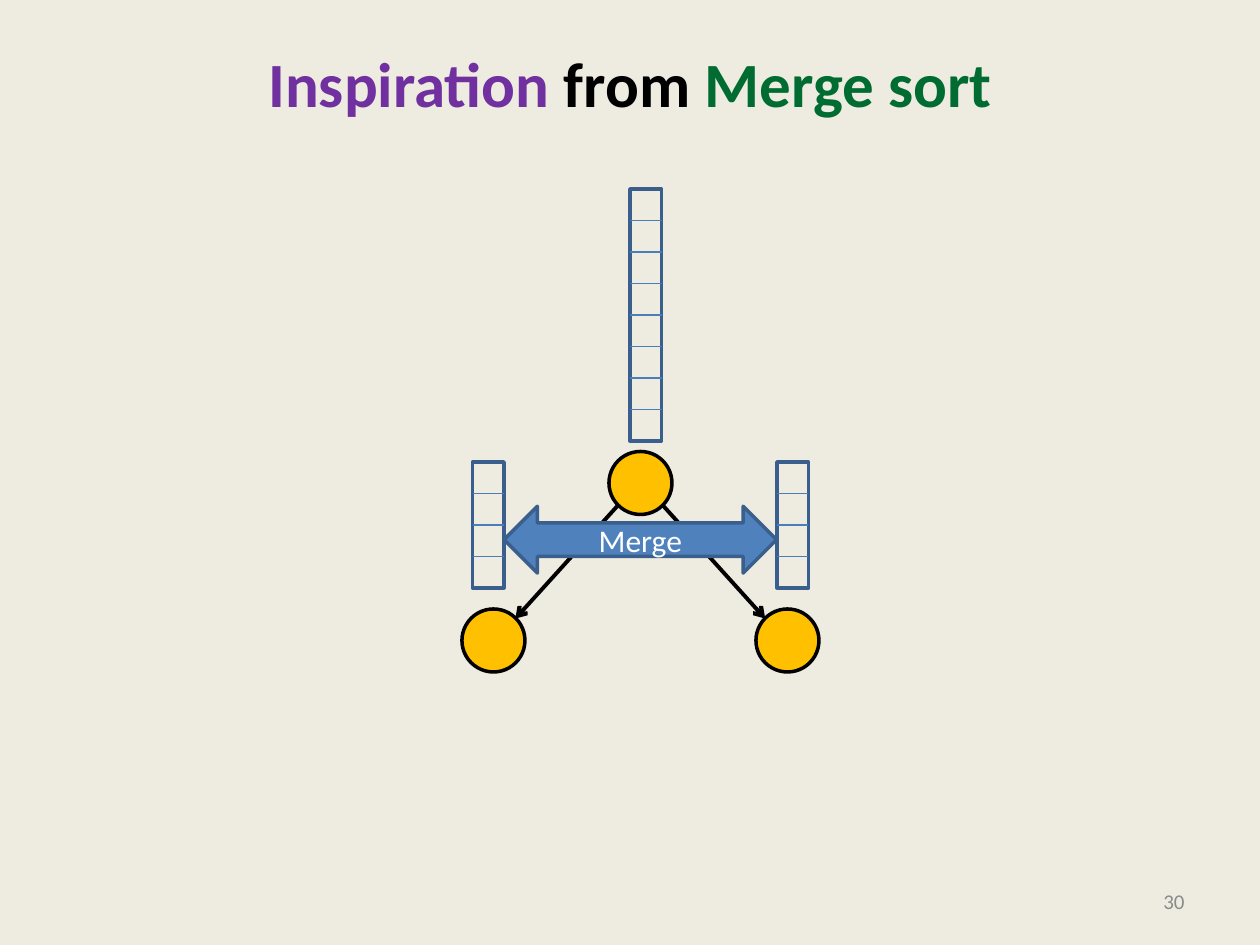
from typing import NamedTuple

from lxml import etree
from pptx import Presentation
from pptx.dml.color import RGBColor
from pptx.enum.shapes import MSO_CONNECTOR, MSO_SHAPE
from pptx.enum.text import MSO_ANCHOR, PP_ALIGN
from pptx.oxml.ns import qn
from pptx.util import Pt

LINE = MSO_CONNECTOR.STRAIGHT
OVAL, RECT = MSO_SHAPE.OVAL, MSO_SHAPE.RECTANGLE
DOUBLE = MSO_SHAPE.LEFT_RIGHT_ARROW
TOP, MIDDLE = MSO_ANCHOR.TOP, MSO_ANCHOR.MIDDLE
CENTER, RIGHT = PP_ALIGN.CENTER, PP_ALIGN.RIGHT

FONT = "Calibri"
BLACK, GOLD, BLUE, EDGE, RULE = "000000", "FFC000", "4F81BD", "3A5F8C", "4A7EBB"
CELL = 18
NODE = 36


class Box(NamedTuple):
    """A place on the slide, in points."""
    left: float
    top: float
    width: float
    height: float


class Run(NamedTuple):
    """A piece of text in one style."""
    text: str
    size: float
    color: str
    bold: bool = False


class Stack(NamedTuple):
    """A column of equal array cells."""
    left: float
    top: float
    cells: int


class Edge(NamedTuple):
    """A tree edge from parent to child."""
    x1: float
    y1: float
    x2: float
    y2: float


NODES = [(348, 258), (264, 348), (432, 348)]
EDGES = [Edge(353.2, 288.7, 294.5, 353.5), Edge(378.7, 288.7, 437.3, 353.5)]
STACKS = [Stack(444, 264, 4), Stack(270, 264, 4), Stack(360, 108, 8)]


def paint(fmt, color: str) -> None:
    """Set a fill or font colour from a hex string."""
    if hasattr(fmt, "solid"):
        fmt.solid()
        fmt = fmt.fore_color
    else:
        fmt = fmt.color
    fmt.rgb = RGBColor.from_string(color)


def write(frame, runs: list[Run], align, anchor=MIDDLE) -> None:
    """Fill a text frame run by run."""
    frame.word_wrap = True
    frame.vertical_anchor = anchor
    para = frame.paragraphs[0]
    para.alignment = align
    for item in runs:
        run = para.add_run()
        run.text = item.text
        run.font.name = FONT
        run.font.size = Pt(item.size)
        run.font.bold = item.bold
        paint(run.font, item.color)


def add_text(slide, box: Box, runs: list[Run], align, anchor=MIDDLE) -> None:
    """Add a text box."""
    area = slide.shapes.add_textbox(*map(Pt, box))
    write(area.text_frame, runs, align, anchor)


def add_form(slide, kind, box: Box, edge: str, fill: str = ""):
    """Add an outlined shape, hollow when no fill is given."""
    form = slide.shapes.add_shape(kind, *map(Pt, box))
    form.shadow.inherit = False
    if fill:
        paint(form.fill, fill)
    else:
        form.fill.background()
    paint(form.line.fill, edge)
    form.line.width = Pt(2)
    return form


def add_line(slide, edge: Edge, color: str, width: float, arrow: bool = False) -> None:
    """Add a straight line, with an open arrowhead if asked."""
    line = slide.shapes.add_connector(LINE, *map(Pt, edge))
    paint(line.line.fill, color)
    line.line.width = Pt(width)
    props = line._element.spPr
    if arrow:
        etree.SubElement(props.find(qn("a:ln")), qn("a:tailEnd"), type="arrow")
    etree.SubElement(props, qn("a:effectLst"))


def add_stack(slide, stack: Stack) -> None:
    """Draw an array as a frame with a rule between cells."""
    left, top, cells = stack
    add_form(slide, RECT, Box(left, top, CELL, cells * CELL), EDGE)
    for i in range(1, cells):
        y = top + i * CELL
        add_line(slide, Edge(left, y, left + CELL, y), RULE, 0.75)


def main() -> None:
    """Build and save the slide."""
    deck = Presentation()
    deck.slide_width, deck.slide_height = Pt(720), Pt(540)
    slide = deck.slides.add_slide(deck.slide_layouts[6])
    paint(slide.background.fill, "EEECE1")

    title = [
        Run("Inspiration", 36, "7030A0", True),
        Run(" from ", 36, BLACK, True),
        Run("Merge sort", 36, "006C31", True),
    ]
    add_text(slide, Box(36, 21.6, 648, 90), title, CENTER, TOP)
    add_text(slide, Box(516, 500.5, 168, 28.8), [Run("30", 12, "8B8B8B")], RIGHT)

    for left, top in NODES:
        add_form(slide, OVAL, Box(left, top, NODE, NODE), BLACK, GOLD)
    for edge in EDGES:
        add_line(slide, edge, BLACK, 2.25, arrow=True)
    for stack in STACKS:
        add_stack(slide, stack)

    merge = add_form(slide, DOUBLE, Box(288, 289.3, 155.8, 38.2), EDGE, BLUE)
    write(merge.text_frame, [Run("Merge", 18, "FFFFFF")], CENTER)
    deck.save("out.pptx")


main()
